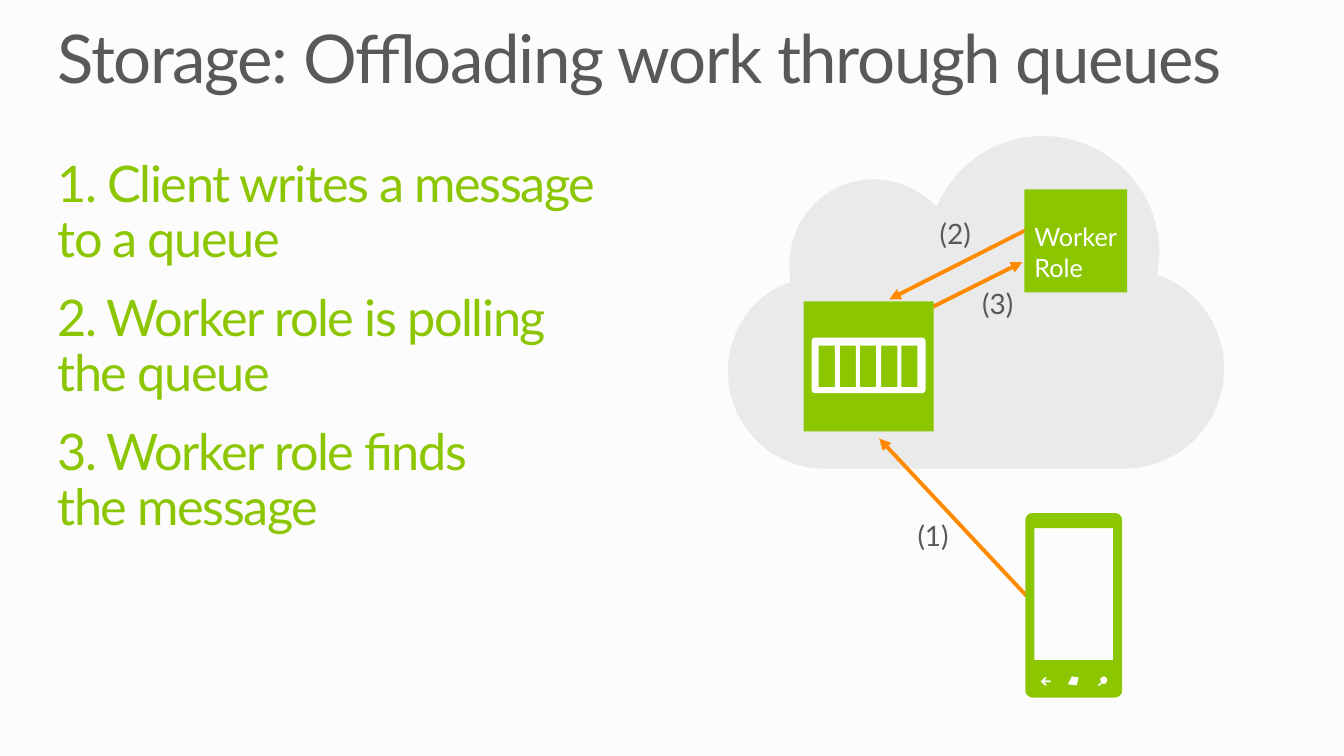
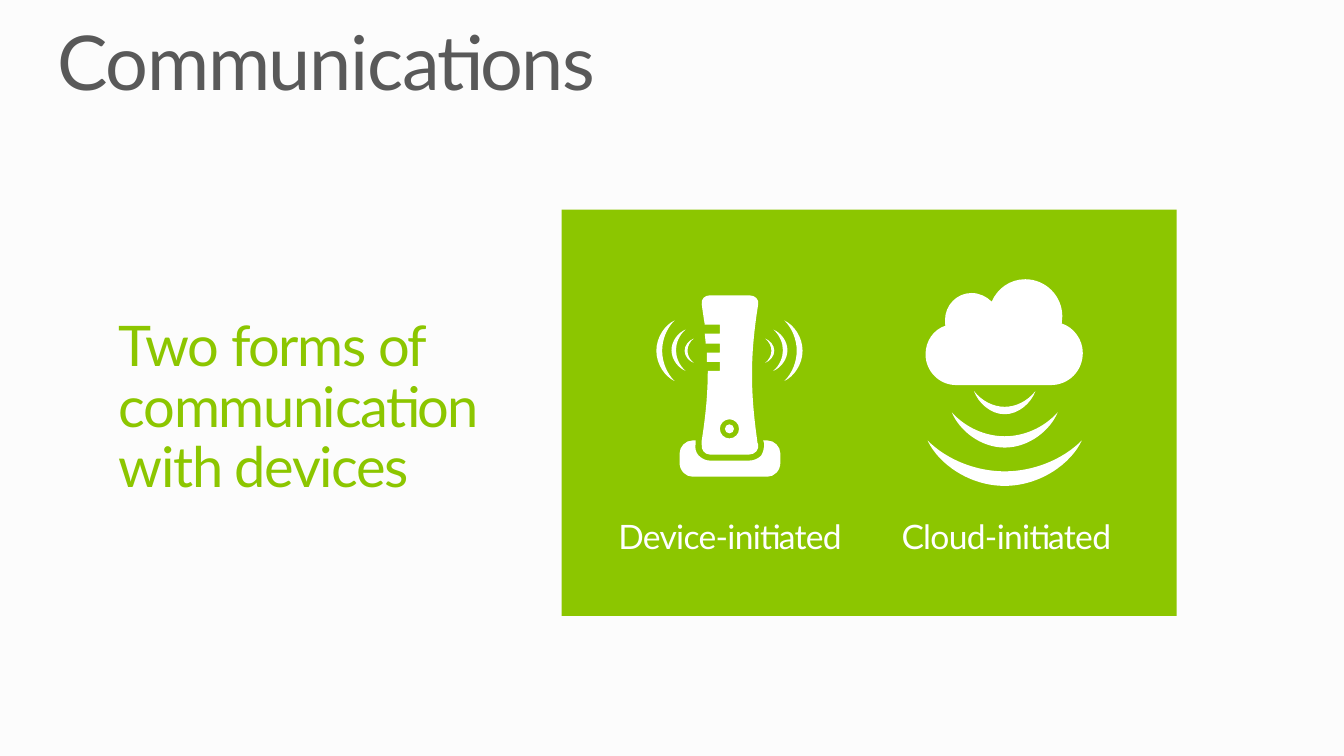
from lxml import etree
from pptx import Presentation
from pptx.dml.color import RGBColor
from pptx.enum.shapes import MSO_CONNECTOR, MSO_SHAPE
from pptx.enum.text import MSO_ANCHOR, MSO_AUTO_SIZE, PP_ALIGN
from pptx.oxml.ns import qn
from pptx.util import Pt

PX = 9144  # EMU in one px, 100 px to the inch
FONT = "Lato"
PAPER = RGBColor(0xFC, 0xFC, 0xFC)
GREY = RGBColor(0x59, 0x59, 0x59)
GREEN = RGBColor(0x8C, 0xC6, 0x00)
ORANGE = RGBColor(0xFF, 0x8A, 0x00)
MIST = RGBColor(0xEA, 0xEA, 0xEA)
WHITE = RGBColor(0xFF, 0xFF, 0xFF)

# Contours: a pair is a line to that point, six numbers are a Bezier curve.
CLOUD_SIZE = (492, 330)
CLOUD = [
    (426, 138), (426, 131, 428, 123, 428, 116), (428, 52, 376, 0, 312, 0),
    (264, 0, 225, 29, 207, 70), (191, 54, 169, 43, 144, 43),
    (98, 43, 61, 81, 61, 127), (61, 132, 61, 139, 62, 145),
    (25, 157, 0, 193, 0, 234), (0, 287, 43, 330, 96, 330), (392, 330),
    (448, 330, 492, 286, 492, 230), (492, 188, 464, 150, 426, 138),
]
WAVE_SIZE = (100, 100)
WAVE_DOWN = [
    (0, 0), (7, 51, 27, 100, 50, 100), (73, 100, 93, 51, 100, 0),
    (87, 44, 68, 68, 50, 68), (32, 68, 13, 44, 0, 0),
]
WAVE_SIDE = [tuple(seg[i ^ 1] for i in range(len(seg))) for seg in WAVE_DOWN]
ROUTER_SIZE = (145, 180)
TOWER = [
    (45, 148), (44, 153, 48, 158, 53, 158), (92, 158), (98, 158, 102, 153, 101, 148),
    (100, 147, 100, 145, 100, 144), (93, 94, 93, 59, 101, 9), (102, 4, 98, 0, 92, 0),
    (53, 0), (48, 0, 44, 4, 45, 9), (46, 16, 47, 23, 48, 29),
    (63, 29), (63, 38), (48, 38), (49, 48), (63, 48), (63, 57), (50, 57),
    (50, 66), (63, 66), (63, 75), (51, 75), (51, 97, 49, 119, 45, 144),
]
BASE = [
    (110, 144), (106, 144), (107, 145, 107, 146, 107, 147),
    (107, 151, 106, 156, 104, 159), (101, 162, 97, 164, 92, 164), (53, 164),
    (49, 164, 45, 162, 42, 159), (39, 156, 38, 151, 39, 147),
    (39, 146, 39, 145, 39, 144), (36, 144), (29, 144, 23, 150, 23, 157), (23, 166),
    (23, 174, 29, 180, 36, 180), (110, 180), (117, 180, 123, 174, 123, 166),
    (123, 157), (123, 150, 117, 144, 110, 144),
]
PHONE_SIZE = (96, 183)
BACK = [(25, 168), (19, 168), (22, 171), (19, 171), (15, 167), (19, 163),
        (22, 163), (19, 166), (25, 166)]
START = [(42, 170), (46, 162), (53, 163), (51, 171)]
SEARCH = [
    (81, 167), (81, 168, 80, 170, 78, 170), (77, 170, 77, 169, 76, 169),
    (73, 172), (72, 170), (75, 168), (74, 167, 74, 166, 74, 165),
    (75, 163, 76, 162, 78, 162), (79, 162, 80, 163, 81, 164),
    (81, 165, 82, 166, 81, 167),
]
TRAY_SIZE = (113, 55)


def emu(*lengths):
    return [round(v * PX) for v in lengths]


def inside(box, x, y, w, h):
    """Box given by its offset from the corner of another box."""
    return box[0] + x, box[1] + y, w, h


def fit(contour, size, box):
    """Scale a contour into a box; a negative width mirrors it."""
    return [tuple(box[i % 2] + v * box[2 + i % 2] / size[i % 2]
                  for i, v in enumerate(seg)) for seg in contour]


def rectangle(x, y, w, h):
    return [(x, y), (x + w, y), (x + w, y + h), (x, y + h)]


def rounded(x, y, w, h, radius):
    k = radius * 0.45
    r, b = x + w, y + h
    return [
        (x + radius, y), (r - radius, y), (r - k, y, r, y + k, r, y + radius),
        (r, b - radius), (r, b - k, r - k, b, r - radius, b),
        (x + radius, b), (x + k, b, x, b - k, x, b - radius),
        (x, y + radius), (x, y + k, x + k, y, x + radius, y),
    ]


def paint(sp, color):
    sp.shadow.inherit = False
    sp.fill.solid()
    sp.fill.fore_color.rgb = color
    sp.line.fill.background()
    return sp


def add_block(parent, box, color):
    return paint(parent.shapes.add_shape(MSO_SHAPE.RECTANGLE, *emu(*box)), color)


def add_outline(parent, contours, size, box, color):
    """One freeform of several contours; inner contours are holes."""
    segments = [[emu(*seg) for seg in fit(contour, size, box)] for contour in contours]
    builder = parent.shapes.build_freeform(*segments[0][0])
    for i, contour in enumerate(segments):
        if i:
            builder.move_to(*contour[0])
        builder.add_line_segments(
            [seg[j:j + 2] for seg in contour[1:] for j in range(0, len(seg), 2)])
    sp = paint(builder.convert_to_shape(), color)
    bend_curves(sp._element.find(".//" + qn("a:path")), segments)


def bend_curves(outline, segments):
    """Join each three line points that stand for a curve into one Bezier."""
    nodes = iter(list(outline))
    for contour in segments:
        for seg in contour:
            node = next(nodes)
            if len(seg) == 6:
                node.tag = qn("a:cubicBezTo")
                for extra in (next(nodes), next(nodes)):
                    node.append(extra[0])
                    outline.remove(extra)
        next(nodes)


def set_text(sp, paragraphs, size, color, spacing=0, after=0, line=1.0,
             align=PP_ALIGN.LEFT, insets=(0, 0, 0, 0), anchor=MSO_ANCHOR.TOP,
             wrap=True, grow=MSO_AUTO_SIZE.SHAPE_TO_FIT_TEXT):
    tf = sp.text_frame
    left, top, right, bottom = emu(*insets)
    frame = {"margin_left": left, "margin_top": top, "margin_right": right,
             "margin_bottom": bottom, "word_wrap": wrap,
             "auto_size": grow, "vertical_anchor": anchor}
    for name, value in frame.items():
        setattr(tf, name, value)
    layout = {"alignment": align, "line_spacing": line,
              "space_before": Pt(0), "space_after": Pt(after)}
    for i, text in enumerate(paragraphs):
        p = tf.add_paragraph() if i else tf.paragraphs[0]
        p.text = text
        for name, value in layout.items():
            setattr(p, name, value)
        for r in p.runs:
            for name, value in {"name": FONT, "size": Pt(size)}.items():
                setattr(r.font, name, value)
            r.font.color.rgb = color
            if spacing:
                r._r.get_or_add_rPr().set("spc", str(round(spacing * 100)))


def add_text(slide, box, paragraphs, size, color, **style):
    set_text(slide.shapes.add_textbox(*emu(*box)), paragraphs, size, color, **style)


def add_arrow(slide, start, end):
    line = slide.shapes.add_connector(MSO_CONNECTOR.STRAIGHT, *emu(*start, *end))
    line.line.color.rgb = ORANGE
    line.line.width = Pt(2.75)
    etree.SubElement(line.line._get_or_add_ln(), qn("a:tailEnd"), type="triangle")
    etree.SubElement(line._element.spPr, qn("a:effectLst"))


def add_slide(prs, title, size, height):
    slide = prs.slides.add_slide(prs.slide_layouts[5])
    sp = slide.shapes.title
    sp.left, sp.top, sp.width, sp.height = emu(57, 25, 1219, height)
    set_text(sp, [title], size, GREY, spacing=-1, line=0.9)
    return slide


def add_cloud(parent, box, color):
    add_outline(parent, [CLOUD], CLOUD_SIZE, box, color)


def add_phone(slide, box):
    case, screen = rounded(0, 0, 96, 183, 7), rectangle(9, 15, 78, 131)
    add_outline(slide, [case, BACK, START, SEARCH, screen], PHONE_SIZE, box, GREEN)


def add_queue(slide, box):
    group = slide.shapes.add_group_shape()
    add_block(group, box, GREEN)
    slots = [rectangle(7 + (41 * i + 1) // 2, 8, 16, 41) for i in range(5)]
    add_outline(group, [rounded(0, 0, 113, 55, 3), *slots], TRAY_SIZE,
                inside(box, 8, 36, 113, 55), WHITE)


def add_worker(slide, box):
    set_text(add_block(slide, box, GREEN), ["Worker Role"], 18, WHITE,
             insets=(10, 5, 10, 10), anchor=MSO_ANCHOR.BOTTOM, grow=MSO_AUTO_SIZE.NONE)


def add_router(slide, box):
    button = [rounded(63, 123, 19, 19, 9.5), rounded(68, 128, 9, 9, 4.5)]
    waves = [fit(WAVE_SIDE, WAVE_SIZE, wave)
             for x, y, w, h in ((127, 25, 18, 60), (116, 34, 14, 41), (108, 43, 9, 24))
             for wave in ((x, y, w, h), (145 - x, y, -w, h))]
    add_outline(slide, [TOWER, *button, BASE, *waves], ROUTER_SIZE, box, WHITE)


def add_sending_cloud(slide, box):
    group = slide.shapes.add_group_shape()
    add_cloud(group, inside(box, 0, 0, 156, 105), WHITE)
    for x, y, w, h in ((2, 160, 153, 45), (26, 132, 105, 35), (48, 111, 61, 23)):
        add_outline(group, [WAVE_DOWN], WAVE_SIZE, inside(box, x, y, w, h), WHITE)


def add_queue_diagram(slide, box):
    def spot(x, y):
        return box[0] + x, box[1] + y

    add_cloud(slide, inside(box, 0, 0, 492, 330), MIST)
    add_arrow(slide, spot(296, 456), spot(150, 300))
    add_phone(slide, inside(box, 295, 374, 96, 183))
    add_arrow(slide, spot(296, 93), spot(160, 162))
    add_arrow(slide, spot(194, 174), spot(292, 125))
    for text, x, y in (("(1)", 188, 379), ("(2)", 210, 80), ("(3)", 252, 149)):
        add_text(slide, inside(box, x, y, 32, 34), [text], 20, GREY, wrap=False)
    add_queue(slide, inside(box, 75, 164, 129, 129))
    add_worker(slide, inside(box, 294, 53, 102, 102))


def add_initiation_panel(slide, box):
    add_block(slide, box, GREEN)
    add_router(slide, inside(box, 94, 85, 145, 180))
    for text, x in (("Device-initiated", 41), ("Cloud-initiated", 315)):
        add_text(slide, inside(box, x, 303, 252, 46), [text], 24, WHITE, spacing=-0.5,
                 line=0.9, align=PP_ALIGN.CENTER, insets=(10, 5, 10, 5))
    add_sending_cloud(slide, inside(box, 361, 69, 156, 205))


def build_queue_slide(prs):
    slide = add_slide(prs, "Storage: Offloading work through queues", 48, 73)
    steps = ["1. Client writes a message \nto a queue",
             "2. Worker role is polling \nthe queue",
             "3. Worker role finds \nthe message"]
    add_text(slide, (57, 158, 1219, 378), steps, 36, GREEN, spacing=-1, after=18, line=0.9)
    add_queue_diagram(slide, (722, 135, 492, 557))


def build_communications_slide(prs):
    slide = add_slide(prs, "Communications", 54, 82)
    add_initiation_panel(slide, (557, 208, 610, 403))
    add_text(slide, (118, 316, 433, 121), ["Two forms of communication \nwith devices"],
             40, GREEN, spacing=-1, after=9, line=0.9)


def main():
    prs = Presentation()
    prs.slide_width, prs.slide_height = emu(1333, 750)
    fill = prs.slide_master.background.fill
    fill.solid()
    fill.fore_color.rgb = PAPER
    build_queue_slide(prs)
    build_communications_slide(prs)
    prs.save("out.pptx")


if __name__ == "__main__":
    main()
